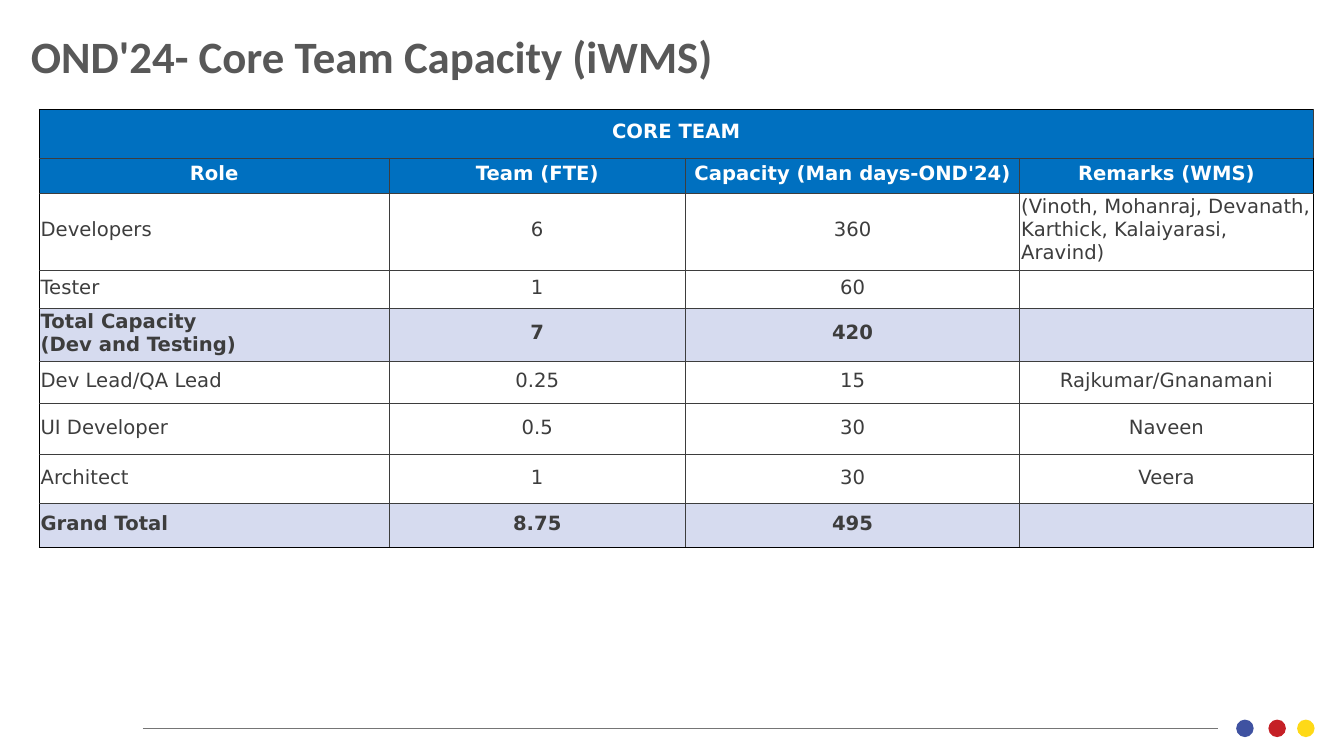
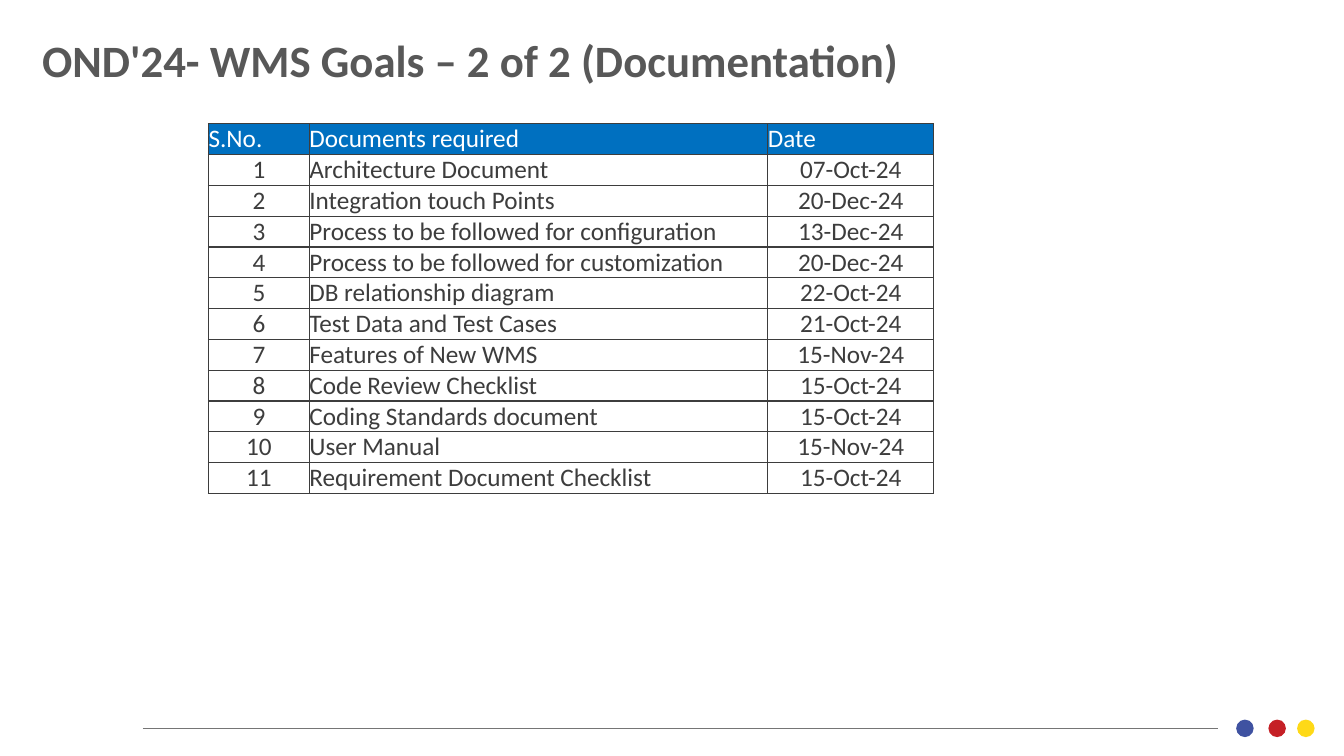
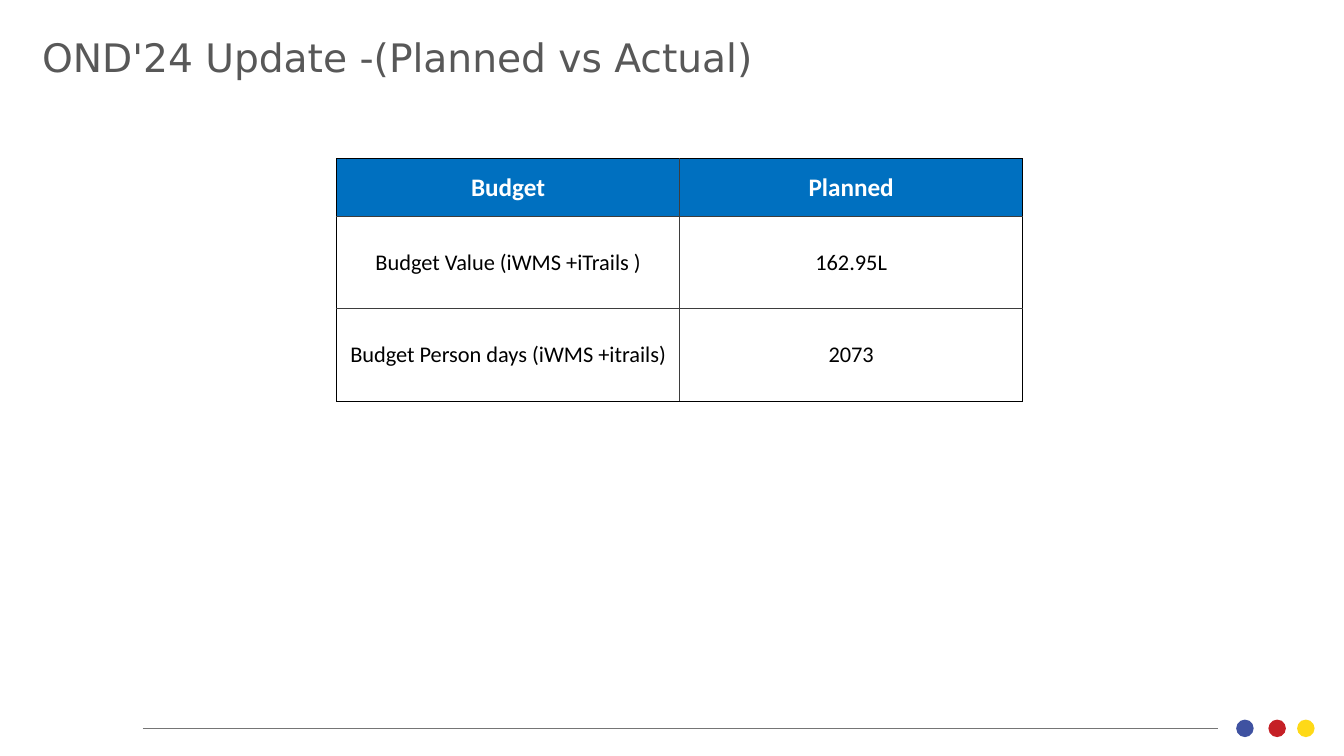
"""Build three OND'24 slides: team capacity, documentation goals and budget."""
from lxml.etree import SubElement
from pptx import Presentation
from pptx.dml.color import RGBColor
from pptx.enum.shapes import MSO_CONNECTOR as Connector, MSO_SHAPE as Shape
from pptx.enum.text import MSO_ANCHOR as Anchor, PP_ALIGN as Align
from pptx.oxml.ns import qn
from pptx.util import Pt

COLORS = {
    "white": "FFFFFF", "black": "000000", "title": "585858", "text": "3D3D3D",
    "header": "0070C0", "total": "D6DBEF", "rule": "757575",
    "blue": "3F52A1", "red": "C52026", "yellow": "FED917",
}
DOTS = [("blue", 883), ("red", 906), ("yellow", 926.5)]

capacity = {
    "position": (28, 78), "columns": [250, 211.5, 239, 209.5],
    "heights": [35, 25, 53.5, 27, 37, 30, 36.5, 35, 31.5],
    "font": "DejaVu Sans", "header_size": 14, "body_size": 14,
    "header_rows": 2, "header_bold": True, "total_rows": {4, 8},
    "body_color": "text", "outline": "black", "border": 0.75,
    "margins": (1, 1, 1, 3.6),
    "left": {(row, 0) for row in range(2, 9)} | {(2, 3)},
    "rows": [
        ["CORE TEAM", "", "", ""],
        ["Role", "Team (FTE)", "Capacity (Man days-OND'24)", "Remarks (WMS)"],
        ["Developers", "6", "360",
         "(Vinoth, Mohanraj, Devanath, Karthick, Kalaiyarasi, Aravind)"],
        ["Tester", "1", "60", ""],
        ["Total Capacity\n(Dev and Testing)", "7", "420", ""],
        ["Dev Lead/QA Lead", "0.25", "15", "Rajkumar/Gnanamani"],
        ["UI Developer", "0.5", "30", "Naveen"],
        ["Architect", "1", "30", "Veera"],
        ["Grand Total", "8.75", "495", ""],
    ],
}

documents = [
    ("Architecture Document", "07-Oct-24"),
    ("Integration touch Points", "20-Dec-24"),
    ("Process to be followed for configuration", "13-Dec-24"),
    ("Process to be followed for customization", "20-Dec-24"),
    ("DB relationship diagram", "22-Oct-24"),
    ("Test Data and Test Cases", "21-Oct-24"),
    ("Features of New WMS", "15-Nov-24"),
    ("Code Review Checklist", "15-Oct-24"),
    ("Coding Standards document", "15-Oct-24"),
    ("User Manual", "15-Nov-24"),
    ("Requirement Document Checklist", "15-Oct-24"),
]
documentation = {
    "position": (149, 88.5), "columns": [72, 327.5, 118.5],
    "heights": [22] * (len(documents) + 1),
    "font": "Calibri", "header_size": 18, "body_size": 18,
    "header_rows": 1, "header_bold": False, "total_rows": set(),
    "body_color": "text", "outline": "text", "border": 1,
    "margins": (0, 0, 0, 0),
    "left": {(0, 0), (0, 2)} | {(row, 1) for row in range(len(documents) + 1)},
    "rows": [["S.No.", "Documents required", "Date"]]
    + [[str(number), *document] for number, document in enumerate(documents, 1)],
}

budget = {
    "position": (240.5, 113.5), "columns": [245, 245], "heights": [41, 66, 66],
    "font": "Calibri", "header_size": 18, "body_size": 16,
    "header_rows": 1, "header_bold": True, "total_rows": set(),
    "body_color": "black", "outline": "black", "border": 0.75,
    "margins": (7.2, 3.6, 7.2, 3.6), "left": set(),
    "rows": [
        ["Budget", "Planned"],
        ["Budget Value (iWMS +iTrails )", "162.95L"],
        ["Budget Person days (iWMS +itrails)", "2073"],
    ],
}

SLIDES = [
    ("OND'24- Core Team Capacity (iWMS)", (15, 17), ("Calibri", 32, True), capacity),
    ("OND'24- WMS Goals – 2 of 2 (Documentation)", (23, 20), ("Calibri", 32, True),
     documentation),
    ("OND'24 Update -(Planned vs Actual)", (23, 20), ("DejaVu Sans", 28, False), budget),
]


def add_run(paragraph, text, font, size, bold, color):
    run = paragraph.add_run()
    run.text = text
    run.font.name = font
    run.font.size = Pt(size)
    run.font.bold = bold
    run.font.color.rgb = RGBColor.from_string(COLORS[color])


def set_borders(cell, width, edges):
    properties = cell._tc.get_or_add_tcPr()
    for index, (edge, color) in enumerate(edges):
        line = properties.makeelement(qn(f"a:{edge}"), {"w": str(Pt(width))})
        fill = SubElement(line, qn("a:solidFill"))
        SubElement(fill, qn("a:srgbClr"), val=COLORS[color])
        properties.insert(index, line)


presentation = Presentation()
presentation.slide_width, presentation.slide_height = Pt(960), Pt(540)

for title, (title_left, title_top), title_style, data in SLIDES:
    slide = presentation.slides.add_slide(presentation.slide_layouts[6])

    footer_shapes = [(Shape.RECTANGLE, "white", 834.5, 500.5, 100, 37.5)]
    footer_shapes += [(Shape.OVAL, color, left, 514, 12.5, 12.5) for color, left in DOTS]
    for kind, color, *box in footer_shapes:
        shape = slide.shapes.add_shape(kind, *map(Pt, box))
        shape.shadow.inherit = False
        shape.fill.solid()
        shape.fill.fore_color.rgb = RGBColor.from_string(COLORS[color])
        shape.line.fill.background()
    rule = slide.shapes.add_connector(Connector.STRAIGHT, Pt(102), Pt(520), Pt(870), Pt(520))
    rule.line.color.rgb = RGBColor.from_string(COLORS["rule"])
    rule.line.width = Pt(0.5)
    SubElement(rule._element.spPr, qn("a:effectLst"))

    title_box = slide.shapes.add_textbox(Pt(title_left), Pt(title_top), Pt(865.5), Pt(42.5))
    title_box.text_frame.word_wrap = True
    add_run(title_box.text_frame.paragraphs[0], title, *title_style, "title")

    columns, heights = data["columns"], data["heights"]
    left, top = data["position"]
    table = slide.shapes.add_table(
        len(heights), len(columns), Pt(left), Pt(top), Pt(sum(columns)), Pt(sum(heights))
    ).table
    table.first_row = table.horz_banding = False
    for column, width in zip(table.columns, columns):
        column.width = Pt(width)
    for row, height in zip(table.rows, heights):
        row.height = Pt(height)

    last_row, last_column = len(heights) - 1, len(columns) - 1
    for row_index, texts in enumerate(data["rows"]):
        is_header = row_index < data["header_rows"]
        is_total = row_index in data["total_rows"]
        bold = data["header_bold"] if is_header else is_total
        size = data["header_size"] if is_header else data["body_size"]
        color = "white" if is_header else data["body_color"]
        for column_index, text in enumerate(texts):
            cell = table.cell(row_index, column_index)
            cell.vertical_anchor = Anchor.MIDDLE
            (cell.margin_left, cell.margin_top,
             cell.margin_right, cell.margin_bottom) = map(Pt, data["margins"])
            if is_header or is_total:
                cell.fill.solid()
                cell.fill.fore_color.rgb = RGBColor.from_string(
                    COLORS["header" if is_header else "total"])
            else:
                cell.fill.background()
            on_outline = {
                "lnL": column_index == 0, "lnR": column_index == last_column,
                "lnT": row_index == 0, "lnB": row_index == last_row,
            }
            set_borders(cell, data["border"], [
                (edge, data["outline"] if outer else "text")
                for edge, outer in on_outline.items()
            ])
            paragraph = cell.text_frame.paragraphs[0]
            is_left = (row_index, column_index) in data["left"]
            paragraph.alignment = Align.LEFT if is_left else Align.CENTER
            for line_index, line in enumerate(text.split("\n") if text else []):
                if line_index:
                    paragraph.add_line_break()
                add_run(paragraph, line, data["font"], size, bold, color)

    if data is capacity:
        table.cell(0, 0).merge(table.cell(0, last_column))

presentation.save("out.pptx")
